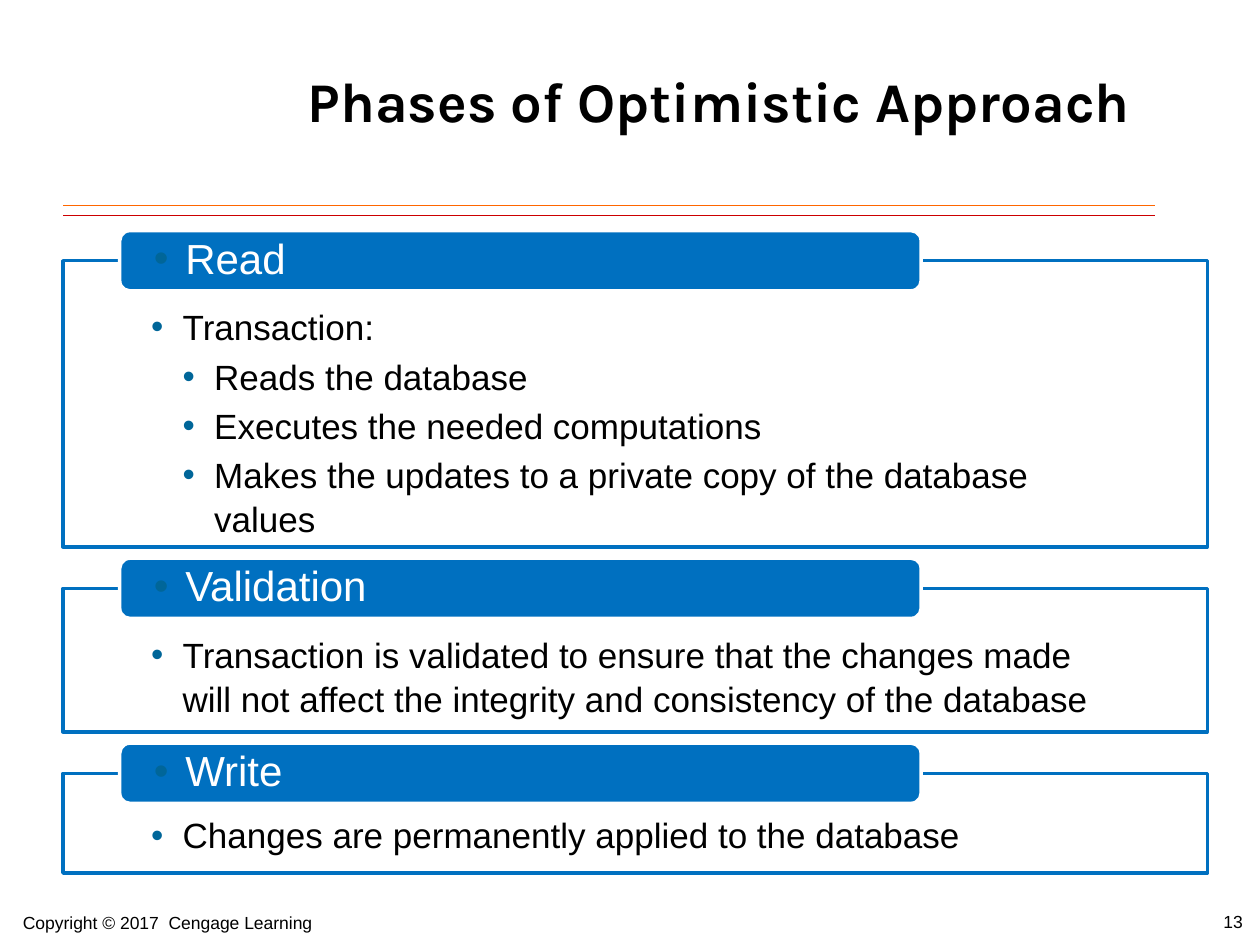
import pptx
import pptx.util
import pptx.dml.color
import pptx.enum.shapes
import pptx.enum.text
import pptx.oxml.ns
import lxml.etree

Pt = pptx.util.Pt
RGB = pptx.dml.color.RGBColor
KIND = pptx.enum.shapes.MSO_SHAPE
ANCHOR = pptx.enum.text.MSO_ANCHOR
ALIGN = pptx.enum.text.PP_ALIGN
qn = pptx.oxml.ns.qn

BLUE = RGB(0x00, 0x70, 0xC0)
TEAL = RGB(0x00, 0x66, 0x99)
RED = RGB(0xCC, 0x00, 0x00)
ORANGE = RGB(0xFF, 0x66, 0x00)
WHITE = RGB(0xFF, 0xFF, 0xFF)
BLACK = RGB(0x00, 0x00, 0x00)


def write(para, text, size, color, font="Arial", bold=False):
    run = para.add_run()
    run.text = text
    run.font.name = font
    run.font.size = Pt(size)
    run.font.bold = bold
    run.font.color.rgb = color


def bullet(para, left):
    props = para._p.get_or_add_pPr()
    props.set("marL", str(Pt(left)))
    props.set("indent", str(-Pt(18)))
    color = lxml.etree.SubElement(props, qn("a:buClr"))
    lxml.etree.SubElement(color, qn("a:srgbClr"), val=str(TEAL))
    lxml.etree.SubElement(props, qn("a:buFont"), typeface="Arial")
    lxml.etree.SubElement(props, qn("a:buChar"), char="•")
    para.alignment = ALIGN.LEFT


deck = pptx.Presentation()
deck.slide_width, deck.slide_height = Pt(720), Pt(540)
slide = deck.slides.add_slide(deck.slide_layouts[6])
shapes = slide.shapes

# Double rule under the title
for y, color in ((123.1, RED), (117.4, ORANGE)):
    rule = shapes.add_connector(
        pptx.enum.shapes.MSO_CONNECTOR.STRAIGHT, Pt(36), Pt(y), Pt(660), Pt(y))
    rule.line.color.rgb = color
    rule.line.width = Pt(0.75)
    lxml.etree.SubElement(rule._element.spPr, qn("a:effectLst"))

# Title
title = shapes.add_textbox(Pt(168), Pt(12), Pt(486), Pt(90))
frame = title.text_frame
frame.word_wrap = True
frame.vertical_anchor = ANCHOR.MIDDLE
frame.paragraphs[0].alignment = ALIGN.CENTER
write(frame.paragraphs[0], "Phases of Optimistic Approach", 32, BLACK, "Karla", True)

# Phases: name, box height, line spacing, points with their level
phases = (
    ("Read", 163.5, 1.05, (
        (1, "Transaction:"),
        (2, "Reads the database"),
        (2, "Executes the needed computations"),
        (2, "Makes the updates to a private copy of the database values"))),
    ("Validation", 82, 1.05, (
        (1, "Transaction is validated to ensure that the changes made will not "
            "affect the integrity and consistency of the database"),)),
    ("Write", 57, 0.95, (
        (1, "Changes are permanently applied to the database"),)),
)
GAP = 23.7
HEAD = 34.4
top = 149
for name, height, space, points in phases:
    # Outlined box with its points
    box = shapes.add_shape(KIND.RECTANGLE, Pt(36), Pt(top), Pt(654), Pt(height))
    box.shadow.inherit = False
    box.fill.solid()
    box.fill.fore_color.rgb = WHITE
    tint = box._element.spPr.find(qn("a:solidFill"))[0]
    lxml.etree.SubElement(tint, qn("a:alpha"), val="90000")
    box.line.color.rgb = BLUE
    box.line.width = Pt(2)
    frame = box.text_frame
    frame.word_wrap = True
    frame.vertical_anchor = ANCHOR.TOP
    frame.margin_left = frame.margin_right = Pt(50.4)
    frame.margin_top, frame.margin_bottom = Pt(24.5), Pt(11.5)
    for i, (level, text) in enumerate(points):
        para = frame.add_paragraph() if i else frame.paragraphs[0]
        bullet(para, 18 * level)
        para.level = level
        para.line_spacing = space
        para.space_after = Pt(3)
        write(para, text, 20, BLACK)

    # Header tab centred on the top edge of the box
    tab = shapes.add_shape(
        KIND.ROUNDED_RECTANGLE, Pt(68.4), Pt(top - HEAD / 2), Pt(458), Pt(HEAD))
    tab.shadow.inherit = False
    tab.fill.solid()
    tab.fill.fore_color.rgb = BLUE
    tab.line.color.rgb = WHITE
    tab.line.width = Pt(2)
    frame = tab.text_frame
    frame.word_wrap = True
    frame.vertical_anchor = ANCHOR.MIDDLE
    frame.margin_left = frame.margin_right = Pt(17.8)
    frame.margin_top = frame.margin_bottom = 0
    bullet(frame.paragraphs[0], 18)
    frame.paragraphs[0].line_spacing = 0.9
    write(frame.paragraphs[0], name, 24, WHITE)
    top += height + GAP

# Footer
for left, y, width, text in (
        (6, 517.5, 228, "Copyright © 2017  Cengage Learning"),
        (692, 517, 36, "13")):
    note = shapes.add_textbox(Pt(left), Pt(y), Pt(width), Pt(18))
    note.text_frame.word_wrap = True
    write(note.text_frame.paragraphs[0], text, 10, BLACK)

deck.save("out.pptx")
